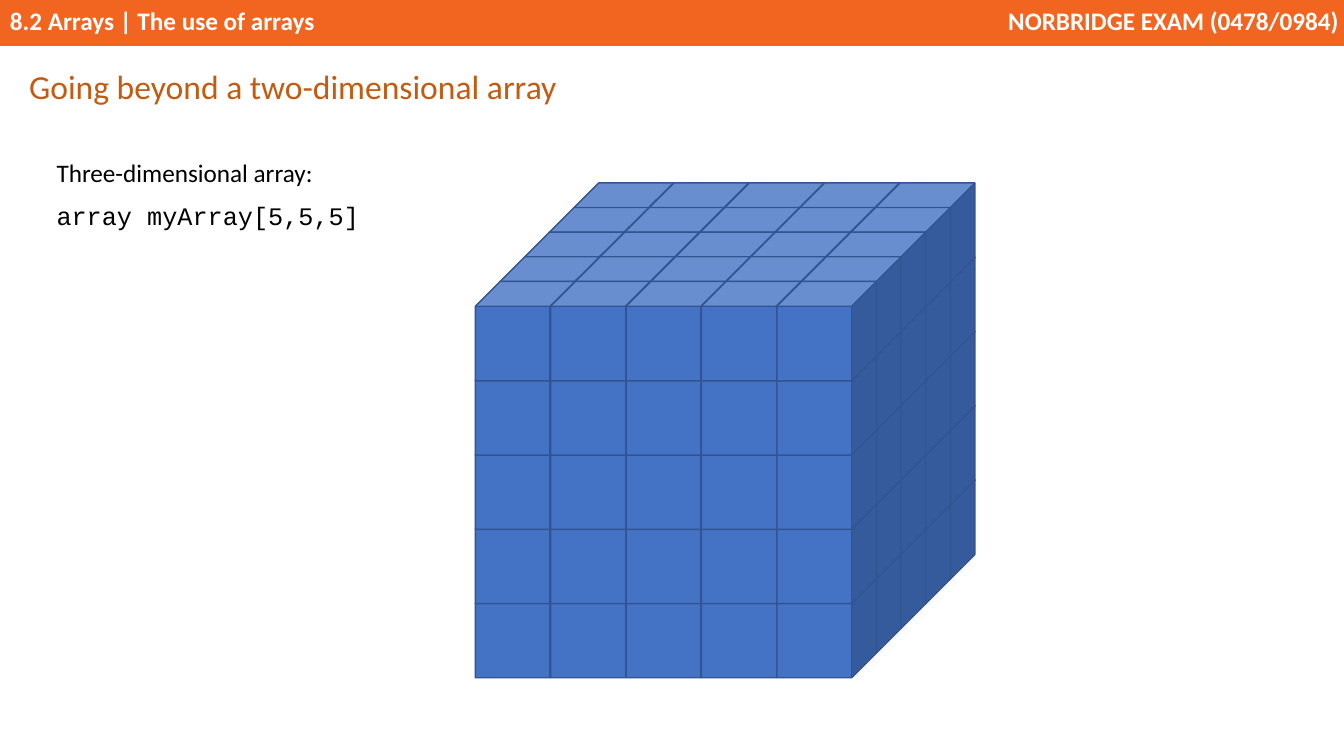
from itertools import product

from lxml.etree import SubElement
from pptx import Presentation
from pptx.dml.color import RGBColor
from pptx.enum.shapes import MSO_SHAPE
from pptx.enum.text import MSO_ANCHOR, MSO_AUTO_SIZE, PP_ALIGN
from pptx.oxml.ns import qn
from pptx.util import Cm, Pt

COLORS = {
    "header": "F26521",
    "header_text": "FFFFFF",
    "title": "C55A11",
    "text": "000000",
    "cube": "4472C4",
    "cube_line": "325491",
}
CELLS = 5  # cells along each dimension of the array


def rgb(name):
    return RGBColor.from_string(COLORS[name])


def format_paragraph(p, text, size=18, font="Calibri", color="text", bold=False,
                     align=PP_ALIGN.LEFT, line_spacing=1.0, after=0):
    """Fill a paragraph with one run, without bullet or indent."""
    pPr = p._p.get_or_add_pPr()
    pPr.set("marL", "0")
    pPr.set("indent", "0")
    SubElement(pPr, qn("a:buNone"))
    p.alignment = align
    p.line_spacing = line_spacing
    p.space_before = Pt(0)
    p.space_after = Pt(after)
    r = p.add_run()
    r.text = text
    r.font.name = font
    r.font.size = Pt(size)
    r.font.bold = bold
    r.font.color.rgb = rgb(color)


class SlideBuilder:
    def __init__(self, prs):
        self.slide = prs.slides.add_slide(prs.slide_layouts[1])

    def header(self, text, left, width, align, inset):
        sp = self.slide.shapes.add_shape(
            MSO_SHAPE.RECTANGLE, Cm(left), Cm(0), Cm(width), Cm(1.16))
        sp.shadow.inherit = False
        sp.fill.solid()
        sp.fill.fore_color.rgb = rgb("header")
        sp.line.fill.background()
        tf = sp.text_frame
        tf.margin_left, tf.margin_right = (Cm(m) for m in inset)
        tf.vertical_anchor = MSO_ANCHOR.TOP
        format_paragraph(tf.paragraphs[0], text, color="header_text",
                         bold=True, align=align)

    def placeholder(self, sp, box, paragraphs):
        """Move a placeholder and fill it with (text, format) pairs."""
        sp.left, sp.top, sp.width, sp.height = (Cm(v) for v in box)
        tf = sp.text_frame
        tf.word_wrap = True
        tf.auto_size = MSO_AUTO_SIZE.SHAPE_TO_FIT_TEXT
        tf.vertical_anchor = MSO_ANCHOR.TOP
        for i, (text, style) in enumerate(paragraphs):
            p = tf.paragraphs[0] if i == 0 else tf.add_paragraph()
            format_paragraph(p, text, line_spacing=1.07, **style)

    def cube(self, group, left, top, size):
        sp = group.shapes.add_shape(
            MSO_SHAPE.CUBE, Cm(left), Cm(top), Cm(size), Cm(size))
        sp.shadow.inherit = False
        sp.fill.solid()
        sp.fill.fore_color.rgb = rgb("cube")
        sp.line.color.rgb = rgb("cube_line")
        sp.line.width = Pt(1)

    def cube_array(self, left, top, size, col_step, row_step, depth_step):
        """Stack cubes from the back layer forward, each column bottom up.

        left and top place the top left cube of the front layer.
        """
        group = self.slide.shapes.add_group_shape()
        for depth, col, row in product(reversed(range(CELLS)), range(CELLS),
                                       reversed(range(CELLS))):
            self.cube(group, left + col * col_step + depth * depth_step,
                      top + row * row_step - depth * depth_step, size)


def main():
    prs = Presentation()
    prs.slide_width, prs.slide_height = Cm(33.87), Cm(19.05)
    builder = SlideBuilder(prs)
    title, body = builder.slide.placeholders

    builder.header("8.2 Arrays | The use of arrays", 0, 28.04,
                   PP_ALIGN.LEFT, (0.25, 0.25))
    builder.header("NORBRIDGE EXAM (0478/0984)", 25.28, 8.59,
                   PP_ALIGN.RIGHT, (0, 0.13))
    builder.placeholder(title, (0.48, 1.45, 14.88, 1.3), [
        ("Going beyond a two-dimensional array",
         {"size": 24, "color": "title", "after": 8}),
    ])
    builder.placeholder(body, (1.17, 3.78, 8.53, 2.18), [
        ("Three-dimensional array:", {"after": 8}),
        ("array myArray[5,5,5]", {"font": "Courier New"}),
    ])
    builder.cube_array(left=11.98, top=7.09, size=2.51,
                       col_step=1.9, row_step=1.87, depth_step=0.62)
    prs.save("out.pptx")


if __name__ == "__main__":
    main()
